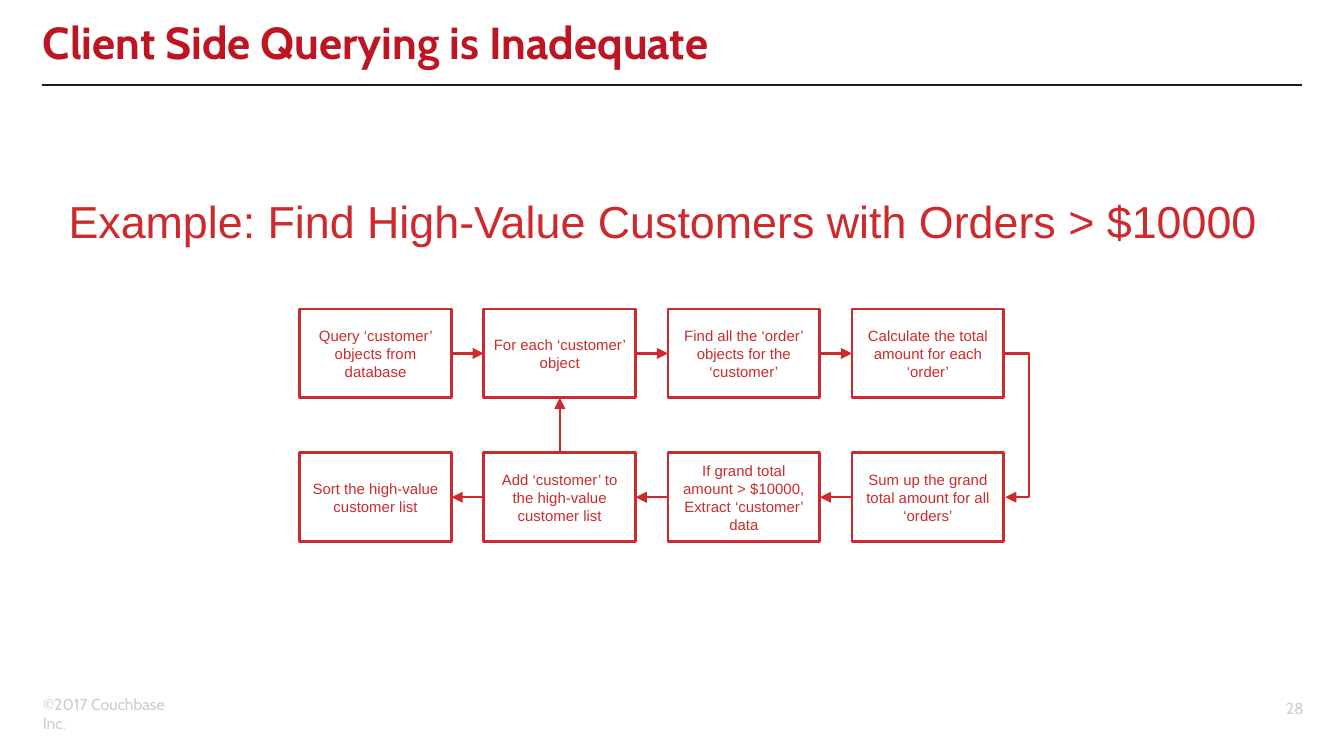
from lxml import etree
from pptx import Presentation
from pptx.dml.color import RGBColor
from pptx.enum import shapes, text
from pptx.oxml.ns import qn
from pptx.util import Inches, Pt

RED, TITLE_RED, GREY, BLACK, WHITE = "CC2A2D", "BE1523", "CCCCCC", "1E1C1C", "FFFFFF"
TOP, LEFT, BOTTOM, RIGHT = range(4)
BOX_LEFT, BOX_TOP, BOX_WIDTH, BOX_HEIGHT = 2.23, 2.3, 1.13, 0.66
COLUMN_STEP, ROW_STEP = 1.37, 1.07
FORWARD_STEPS = [
    "Query ‘customer’ objects from database",
    "For each ‘customer’ object",
    "Find all the ‘order’ objects for the ‘customer’",
    "Calculate the total amount for each ‘order’",
]
RETURN_STEPS = [
    "Sort the high-value customer list",
    "Add ‘customer’ to the high-value customer list",
    "If grand total amount > $10000, Extract ‘customer’ data",
    "Sum up the grand total amount for all ‘orders’",
]
MIDDLE = text.MSO_ANCHOR.MIDDLE
CENTER = text.PP_ALIGN.CENTER
TIGHT = {"margin_left": Inches(0.07), "margin_right": Inches(0.07),
         "margin_top": Inches(0.04), "margin_bottom": Inches(0.04)}


def color(value):
    return RGBColor.from_string(value)


def write(shape, words, font, size, font_color, bold=False, align=None, spacing=None, **frame_format):
    """Fill a shape with one paragraph; frame_format sets text frame attributes."""
    frame = shape.text_frame
    for name, value in {"word_wrap": True, **frame_format}.items():
        setattr(frame, name, value)
    paragraph = frame.paragraphs[0]
    paragraph.text = words
    paragraph.alignment = align
    paragraph.line_spacing = spacing
    for name, value in {"name": font, "size": Pt(size), "bold": bold}.items():
        setattr(paragraph.font, name, value)
    paragraph.font.color.rgb = color(font_color)


def add_label(slide, area, words, *style, **options):
    box = slide.shapes.add_textbox(*map(Inches, area))
    write(box, words, *style, **options)


def add_step(slide, column, row, words):
    shape = slide.shapes.add_shape(
        shapes.MSO_SHAPE.RECTANGLE,
        Inches(BOX_LEFT + column * COLUMN_STEP), Inches(BOX_TOP + row * ROW_STEP),
        Inches(BOX_WIDTH), Inches(BOX_HEIGHT))
    shape.shadow.inherit = False
    shape.fill.solid()
    shape.fill.fore_color.rgb = color(WHITE)
    shape.line.color.rgb = color(RED)
    shape.line.width = Pt(1.5)
    write(shape, words, "Arial", 8, RED, align=CENTER, vertical_anchor=MIDDLE, **TIGHT)
    return shape


def add_line(slide, ends, line_color, width, kind=shapes.MSO_CONNECTOR.STRAIGHT, arrow=False):
    connector = slide.shapes.add_connector(kind, *map(Inches, ends))
    connector.line.color.rgb = color(line_color)
    connector.line.width = Pt(width)
    if arrow:
        etree.SubElement(connector.line._get_or_add_ln(), qn("a:tailEnd"), type="triangle")
    etree.SubElement(connector._element.spPr, qn("a:effectLst"))
    return connector


def join(slide, start, start_side, end, end_side):
    arrow = add_line(slide, (0, 0, 0, 0), RED, 1.25, arrow=True)
    arrow.begin_connect(start, start_side)
    arrow.end_connect(end, end_side)


def add_turn(slide):
    """Lead from the end of the first row round to the end of the second."""
    right = BOX_LEFT + 3 * COLUMN_STEP + BOX_WIDTH
    middle = BOX_TOP + BOX_HEIGHT / 2
    turn = add_line(slide, (right, middle, right + 0.01, middle + ROW_STEP), RED, 1.25,
                    shapes.MSO_CONNECTOR.ELBOW, arrow=True)
    geometry = turn._element.spPr.find(qn("a:prstGeom"))
    guides = geometry.find(qn("a:avLst"))
    if guides is None:
        guides = etree.SubElement(geometry, qn("a:avLst"))
    etree.SubElement(guides, qn("a:gd"), name="adj1", fmla="val 1900000")


def add_flow(slide):
    forward, back = [
        [add_step(slide, column, row, words) for column, words in enumerate(steps)]
        for row, steps in enumerate((FORWARD_STEPS, RETURN_STEPS))]
    for start, end in zip(forward, forward[1:]):
        join(slide, start, RIGHT, end, LEFT)
    for end, start in zip(back, back[1:]):
        join(slide, start, LEFT, end, RIGHT)
    join(slide, back[1], TOP, forward[1], BOTTOM)
    add_turn(slide)


def main():
    presentation = Presentation()
    presentation.slide_width = Inches(10)
    presentation.slide_height = presentation.slide_width * 9 // 16
    slide = presentation.slides.add_slide(presentation.slide_layouts[6])
    add_label(slide, (0.22, 5.12, 1.3, 0.24), "©2017 Couchbase Inc.", "Cabin", 8.5, GREY)
    add_label(slide, (8.99, 5.12, 0.81, 0.3), "28", "Cabin", 8.5, GREY,
              align=text.PP_ALIGN.RIGHT, vertical_anchor=MIDDLE)
    add_line(slide, (0.31, 0.63, 9.69, 0.63), BLACK, 1)
    add_label(slide, (0.22, 0.05, 8.75, 0.59), "Client Side Querying is Inadequate",
              "Cabin", 24, TITLE_RED, bold=True, spacing=0.8, vertical_anchor=MIDDLE)
    add_label(slide, (0.39, 1.4, 9.08, 0.48),
              "Example: Find High-Value Customers with Orders > $10000",
              "Arial", 24, RED, align=CENTER, **{**TIGHT, "word_wrap": False})
    add_flow(slide)
    presentation.save("out.pptx")


if __name__ == "__main__":
    main()
